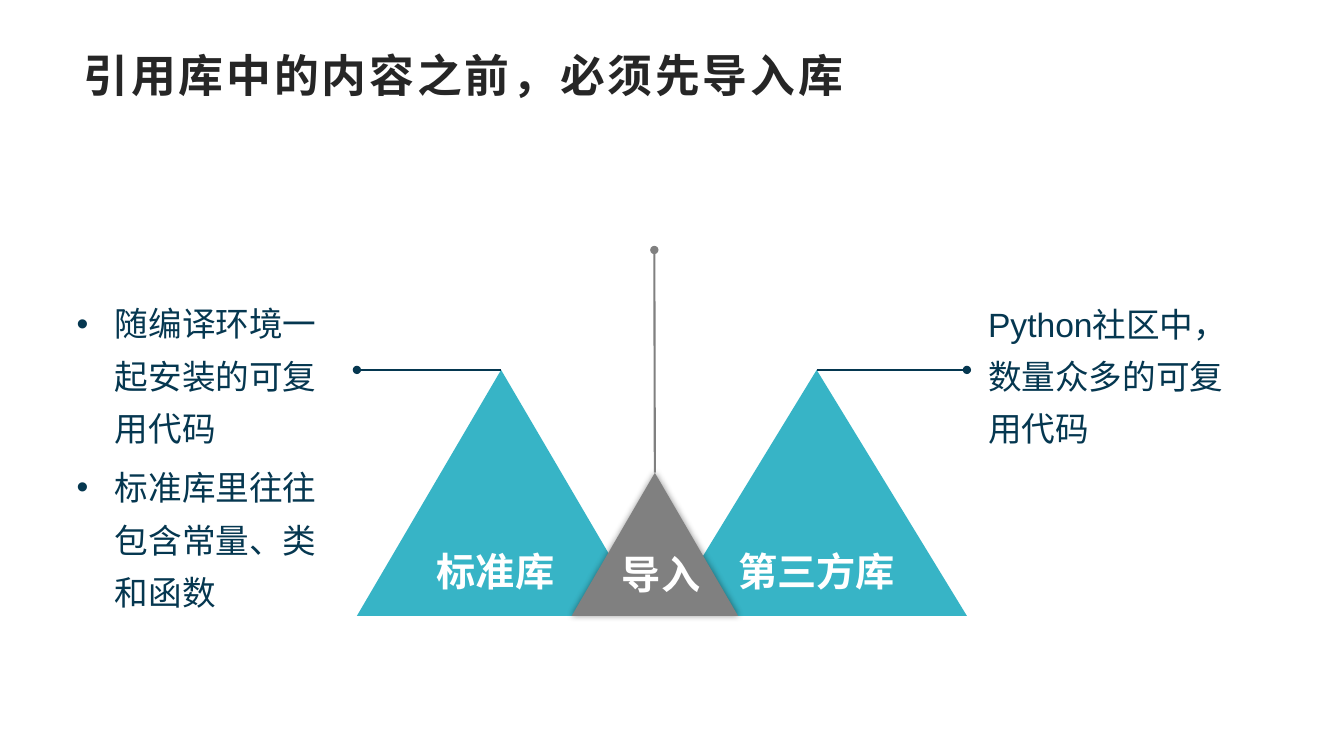
from lxml import etree
from pptx import Presentation
from pptx.dml.color import RGBColor
from pptx.enum.shapes import MSO_CONNECTOR as Line, MSO_SHAPE as Shape
from pptx.enum.text import MSO_ANCHOR as Anchor, PP_ALIGN as Align
from pptx.oxml.ns import qn
from pptx.util import Emu, Pt

PX = 9144  # 100 px to the inch
COLORS = {"title": "262626", "navy": "053750", "teal": "37B4C6",
          "gray": "808080", "white": "FFFFFF", "black": "000000"}
CJK = "Noto Sans CJK SC"


def px(*lengths):
    return [Emu(length * PX) for length in lengths]


def rgb(name):
    return RGBColor.from_string(COLORS[name])


def add_text(page, place, lines, size, color, font="Arial", bold=False,
             inset=(10, 5), align=Align.LEFT, wrap=True, spacing=None,
             bullet=False, tracking=None):
    box = page.shapes.add_textbox(*px(*place))
    frame = box.text_frame
    frame.word_wrap = wrap
    frame.vertical_anchor = Anchor.TOP
    frame.margin_left = frame.margin_right = px(inset[0])[0]
    frame.margin_top = frame.margin_bottom = px(inset[1])[0]
    for index, line in enumerate(lines):
        para = frame.paragraphs[0] if index == 0 else frame.add_paragraph()
        span = para.add_run()
        span.text = line
        para.alignment = align
        if spacing:
            para.line_spacing = spacing
        if index:
            para.space_before = Pt(size * 0.2)
        if bullet:
            props = para._p.get_or_add_pPr()
            props.set("marL", str(38 * PX))
            props.set("indent", str(-38 * PX))
            etree.SubElement(props, qn("a:buFont"), typeface="Arial")
            etree.SubElement(props, qn("a:buChar"), char="•")
        para.font.size = Pt(size)
        para.font.name = font
        para.font.bold = bold
        para.font.color.rgb = rgb(color)
        if tracking:
            span._r.get_or_add_rPr().set("spc", str(tracking * 100))


def add_triangle(page, place, color, glow=False):
    triangle = page.shapes.add_shape(Shape.ISOSCELES_TRIANGLE, *px(*place))
    triangle.shadow.inherit = False
    triangle.fill.solid()
    triangle.fill.fore_color.rgb = rgb(color)
    triangle.line.fill.background()
    if glow:
        effects = triangle._element.spPr.find(qn("a:effectLst"))
        shadow = etree.SubElement(effects, qn("a:outerShdw"), blurRad=str(Pt(5)),
                                  dist="0", algn="ctr", rotWithShape="0")
        tint = etree.SubElement(shadow, qn("a:srgbClr"), val=COLORS["black"])
        etree.SubElement(tint, qn("a:alpha"), val="40000")
    return triangle


def add_pointer(page, triangle, end, color):
    """Line from the apex of a triangle to a round dot."""
    pointer = page.shapes.add_connector(Line.STRAIGHT, 0, 0, *px(*end))
    pointer.begin_connect(triangle, 0)
    pointer.line.color.rgb = rgb(color)
    pointer.line.width = Pt(1.5)
    etree.SubElement(pointer.line._get_or_add_ln(), qn("a:tailEnd"), type="oval")
    etree.SubElement(pointer._element.spPr, qn("a:effectLst"))


def main():
    deck = Presentation()
    deck.slide_width, deck.slide_height = px(1333, 750)
    page = deck.slides.add_slide(deck.slide_layouts[6])

    # Title
    add_text(page, (73, 48, 1187, 78), ["引用库中的内容之前，必须先导入库"], 32,
             "title", bold=True, spacing=0.9, tracking=2)

    # Library triangles with their pointers and labels
    libraries = [
        ((354, 367, 286, 244), (354, 367), (402, 538, 179, 57), "标准库"),
        ((661, 367, 298, 244), (959, 367), (708, 538, 204, 52), "第三方库"),
    ]
    for place, dot, label_place, label in libraries:
        triangle = add_triangle(page, place, "teal")
        add_pointer(page, triangle, dot, "navy")
        add_text(page, label_place, [label], 28, "white", font=CJK, bold=True,
                 align=Align.CENTER)

    # Import triangle in front
    triangle = add_triangle(page, (567, 469, 165, 142), "gray", glow=True)
    add_pointer(page, triangle, (649, 248), "gray")
    add_text(page, (607, 541, 99, 57), ["导入"], 28, "white", bold=True, wrap=False)

    # Explanations
    add_text(page, (76, 289, 267, 323),
             ["随编译环境一起安装的可复用代码", "标准库里往往包含常量、类和函数"],
             24, "navy", inset=(0, 0), spacing=1.3, bullet=True)
    add_text(page, (980, 289, 264, 158), ["Python社区中，数量众多的可复用代码"],
             24, "navy", inset=(0, 0), spacing=1.3)

    deck.save("out.pptx")


if __name__ == "__main__":
    main()
